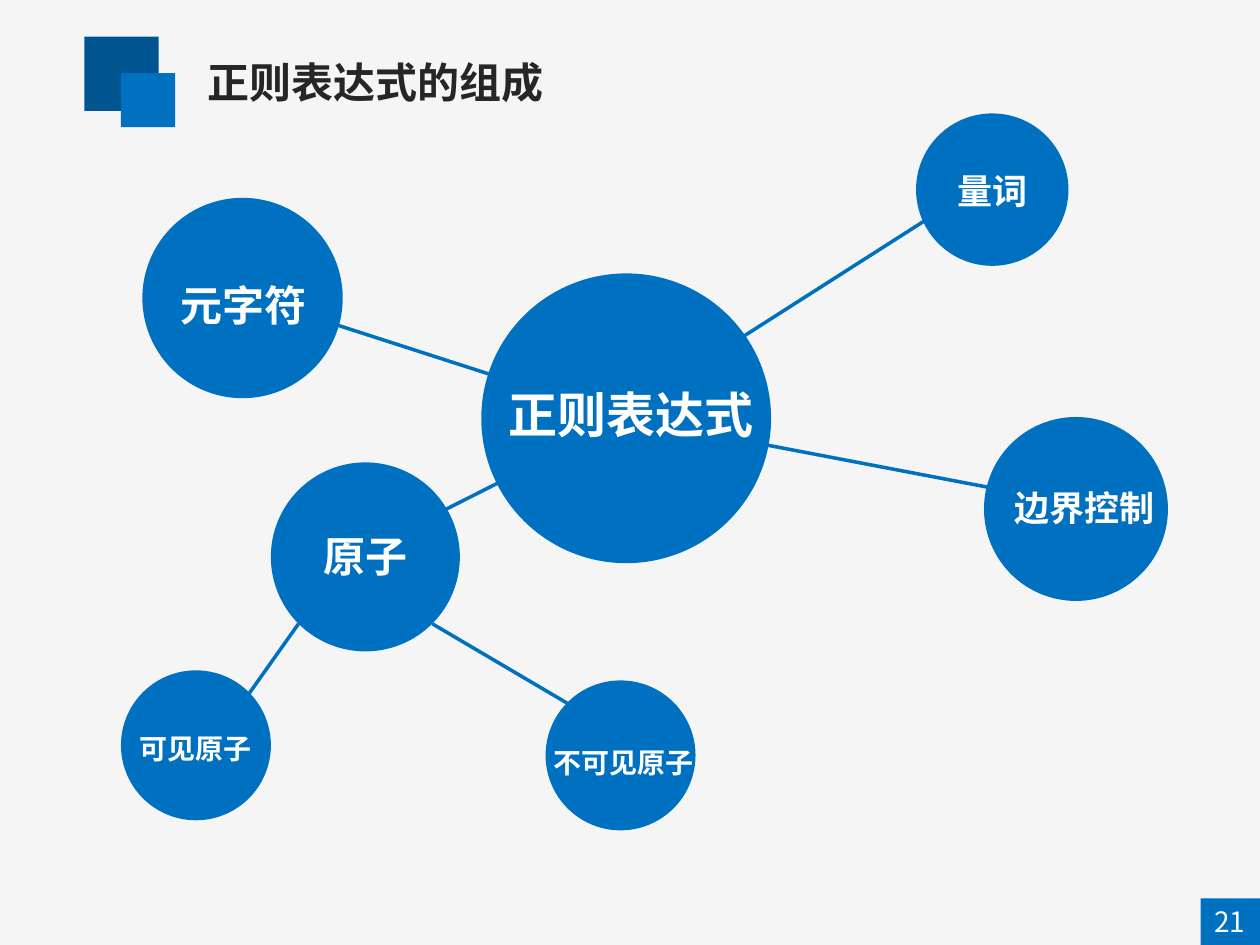
from dataclasses import dataclass

from lxml import etree
from pptx import Presentation
from pptx.dml.color import RGBColor
from pptx.enum import shapes, text
from pptx.oxml import ns
from pptx.util import Inches, Pt


@dataclass(frozen=True)
class Theme:
    font: str = "Noto Sans CJK SC"
    background: str = "F5F5F5"
    accent: str = "0070C0"
    dark: str = "005490"
    ink: str = "262626"
    light: str = "FFFFFF"
    hub: int = 28
    large: int = 24
    medium: int = 20
    small: int = 16
    link: int = 2


THEME = Theme()
RECT = shapes.MSO_SHAPE.RECTANGLE
CIRCLE = shapes.MSO_SHAPE.OVAL

BRANCHES = [
    ("正则表达式", THEME.hub, (3.82, 2.17, 2.3), (0.03, 0.83, 2.31, 0.57)),
    ("量词", THEME.medium, (7.27, 0.9, 1.21), (-0.3, 0.4, 1.81, 0.44)),
    ("元字符", THEME.large, (1.13, 1.57, 1.59), (-0.39, 0.6, 2.38, 0.5)),
    ("边界控制", THEME.medium, (7.81, 3.31, 1.46), (-0.29, 0.5, 2.18, 0.44)),
    ("原子", THEME.large, (2.15, 3.67, 1.5), (-0.37, 0.49, 2.24, 0.5)),
    ("可见原子", THEME.small, (0.96, 5.32, 1.19), (-0.53, 0.44, 2.24, 0.37)),
    ("不可见原子", THEME.small, (4.33, 5.4, 1.19), (-0.5, 0.47, 2.24, 0.37)),
]
HUB_LINKS = [
    ((1.87, 2.32), (4.94, 3.31)),
    ((2.81, 4.41), (4.95, 3.33)),
    ((4.85, 3.34), (7.64, 1.56)),
    ((4.92, 3.31), (8.54, 4)),
]
ATOM_LINKS = [((1.98, 5.5), (2.37, 4.95)), ((3.43, 4.95), (4.5, 5.58))]


def rgb(color):
    return RGBColor.from_string(color)


def add_solid(slide, preset, box, color):
    solid = slide.shapes.add_shape(preset, *map(Inches, box))
    solid.shadow.inherit = False
    solid.fill.solid()
    solid.fill.fore_color.rgb = rgb(color)
    solid.line.fill.background()


def write(frame, wording, size, color, align, bold=True):
    frame.text = wording
    frame.word_wrap = True
    frame.auto_size = text.MSO_AUTO_SIZE.NONE
    frame.vertical_anchor = text.MSO_ANCHOR.TOP
    paragraph = frame.paragraphs[0]
    paragraph.alignment = align
    font = paragraph.font
    font.name = THEME.font
    font.size = Pt(size)
    font.bold = bold
    font.color.rgb = rgb(color)
    defaults = paragraph._p.pPr.find(ns.qn("a:defRPr"))
    etree.SubElement(defaults, ns.qn("a:ea"), typeface=THEME.font)


def add_label(slide, box, wording, size, bold=True):
    label = slide.shapes.add_textbox(*map(Inches, box))
    write(label.text_frame, wording, size, THEME.light, text.PP_ALIGN.CENTER, bold)


def add_links(slide, links):
    for start, end in links:
        link = slide.shapes.add_connector(
            shapes.MSO_CONNECTOR.STRAIGHT, *map(Inches, start + end)
        )
        link.line.color.rgb = rgb(THEME.accent)
        link.line.width = Pt(THEME.link)
        etree.SubElement(link._element.spPr, ns.qn("a:effectLst"))


def add_header(slide, left, top, width):
    add_solid(slide, RECT, (left, top, 0.59, 0.59), THEME.dark)
    add_solid(slide, RECT, (left + 0.29, top + 0.29, 0.43, 0.43), THEME.accent)
    title = slide.shapes.title
    title.left, title.top = Inches(left + 0.88), Inches(top + 0.11)
    title.width, title.height = Inches(width - 0.88), Inches(0.5)
    write(title.text_frame, "正则表达式的组成", THEME.large, THEME.ink, text.PP_ALIGN.LEFT)


def add_branch(slide, circle, label_box, wording, size):
    left, top, diameter = circle
    shift_x, shift_y, width, height = label_box
    add_solid(slide, CIRCLE, (left, top, diameter, diameter), THEME.accent)
    add_label(slide, (left + shift_x, top + shift_y, width, height), wording, size)


def add_mind_map(slide):
    add_links(slide, HUB_LINKS)
    for wording, size, circle, label_box in BRANCHES:
        add_branch(slide, circle, label_box, wording, size)
    add_links(slide, ATOM_LINKS)


def add_page_number(slide, left, top, width, height):
    add_solid(slide, RECT, (left, top, width, height), THEME.accent)
    add_label(slide, (left - 0.12, top, 0.7, height), "21", THEME.small, bold=False)


def main():
    deck = Presentation()
    deck.slide_width, deck.slide_height = Inches(10), Inches(7.5)
    slide = deck.slides.add_slide(deck.slide_layouts.get_by_name("Title Only"))
    slide.background.fill.solid()
    slide.background.fill.fore_color.rgb = rgb(THEME.background)
    add_header(slide, 0.67, 0.29, 8.66)
    add_mind_map(slide)
    add_page_number(slide, 9.53, 7.13, 0.47, 0.37)
    deck.save("out.pptx")


if __name__ == "__main__":
    main()
